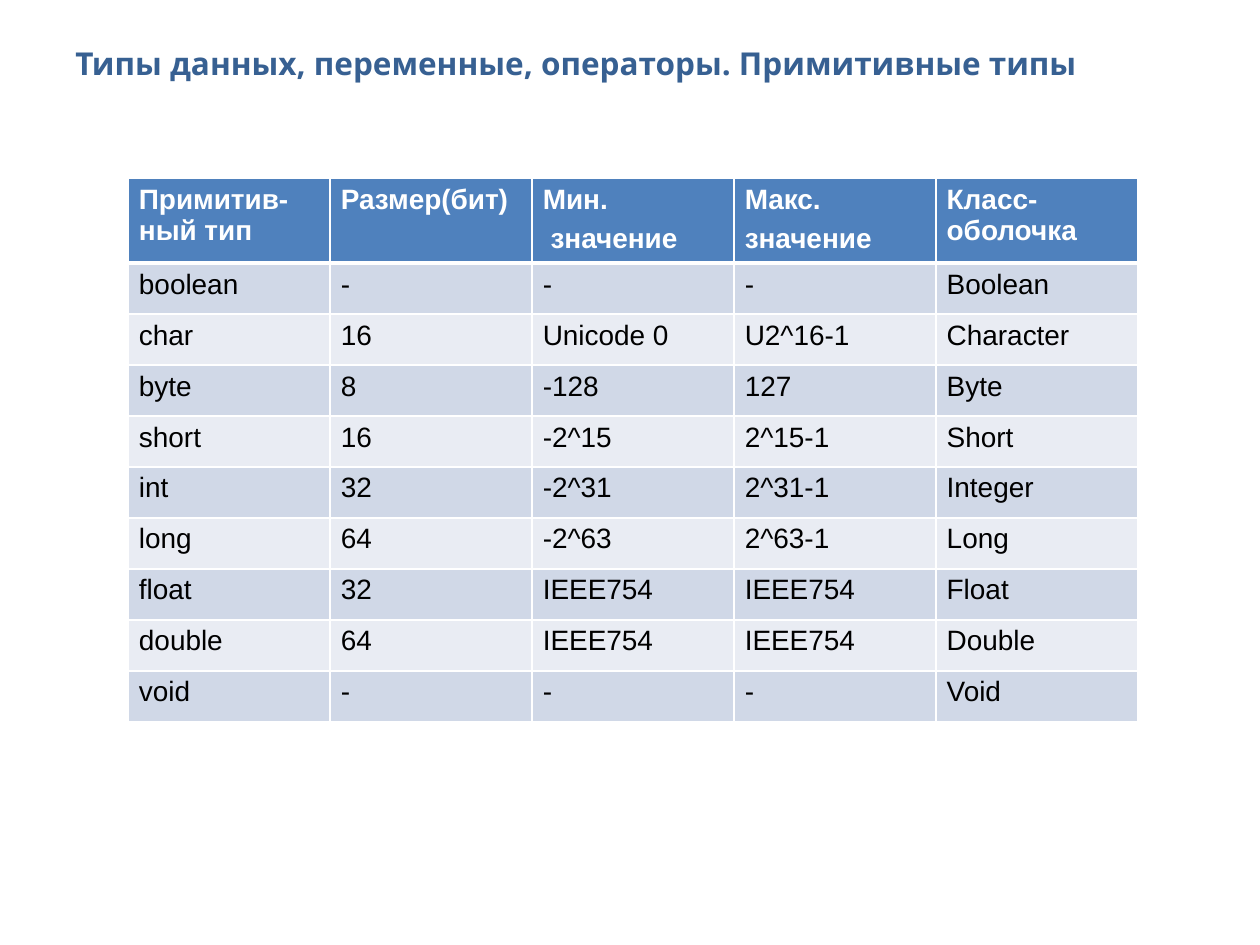
from pptx import Presentation
from pptx.dml.color import RGBColor
from pptx.util import Pt
from pptx.oxml import parse_xml
from pptx.oxml.ns import nsdecls

PX = 914400 // 126
COLORS = {"title": "376092", "header": "4F81BD", "odd": "D0D8E7",
          "even": "E9ECF3", "white": "FFFFFF", "black": "000000"}


def add_run(p, text, font, size, color, bold):
    r = p.add_run()
    r.text = text
    r.font.name = font
    r.font.size = Pt(size)
    r.font.bold = bold
    r.font.color.rgb = RGBColor.from_string(COLORS[color])


def add_border(cell, side, width):
    ln = parse_xml(f'<a:{side} {nsdecls("a")} w="{Pt(width)}"><a:solidFill>'
                   f'<a:srgbClr val="{COLORS["white"]}"/></a:solidFill></a:{side}>')
    cell._tc.get_or_add_tcPr().append(ln)


prs = Presentation()
prs.slide_width = 1260 * PX
prs.slide_height = 945 * PX
s = prs.slides.add_slide(prs.slide_layouts[6])

title = s.shapes.add_textbox(63 * PX, 38 * PX, 1134 * PX, 98 * PX)
tf = title.text_frame
tf.word_wrap = True
add_run(tf.paragraphs[0], "Типы данных, переменные, операторы. Примитивные типы",
        "Open Sans", 18, "title", True)

rows = [
    ["Примитив-ный тип", "Размер(бит)", "Мин.\n значение", "Макс.\nзначение", "Класс-оболочка"],
    ["boolean", "-", "-", "-", "Boolean"],
    ["char", "16", "Unicode 0", "U2^16-1", "Character"],
    ["byte", "8", "-128", "127", "Byte"],
    ["short", "16", "-2^15", "2^15-1", "Short"],
    ["int", "32", "-2^31", "2^31-1", "Integer"],
    ["long", "64", "-2^63", "2^63-1", "Long"],
    ["float", "32", "IEEE754", "IEEE754", "Float"],
    ["double", "64", "IEEE754", "IEEE754", "Double"],
    ["void", "-", "-", "-", "Void"],
]
HEAD_H, ROW_H, COL_W = 83, 51, 202
table = s.shapes.add_table(
    len(rows), len(rows[0]), 128 * PX, 178 * PX, COL_W * len(rows[0]) * PX,
    (HEAD_H + ROW_H * (len(rows) - 1)) * PX).table
for col in table.columns:
    col.width = COL_W * PX

for i, values in enumerate(rows):
    head = i == 0
    table.rows[i].height = (HEAD_H if head else ROW_H) * PX
    fill = "header" if head else "odd" if i % 2 else "even"
    for j, value in enumerate(values):
        cell = table.cell(i, j)
        cell.margin_left = cell.margin_right = 11 * PX
        cell.margin_top = 6 * PX
        cell.margin_bottom = 3 * PX
        for side in ("lnL", "lnR", "lnT", "lnB"):
            thick = (i, side) in ((0, "lnB"), (1, "lnT"))
            add_border(cell, side, 3 if thick else 0.96)
        cell.fill.solid()
        cell.fill.fore_color.rgb = RGBColor.from_string(COLORS[fill])
        tf = cell.text_frame
        lines = value.split("\n")
        for k, line in enumerate(lines):
            p = tf.add_paragraph() if k else tf.paragraphs[0]
            if len(lines) > 1:
                p.space_before = Pt(5)
            add_run(p, line, "Arial", 16, "white" if head else "black", head)

prs.save("out.pptx")
